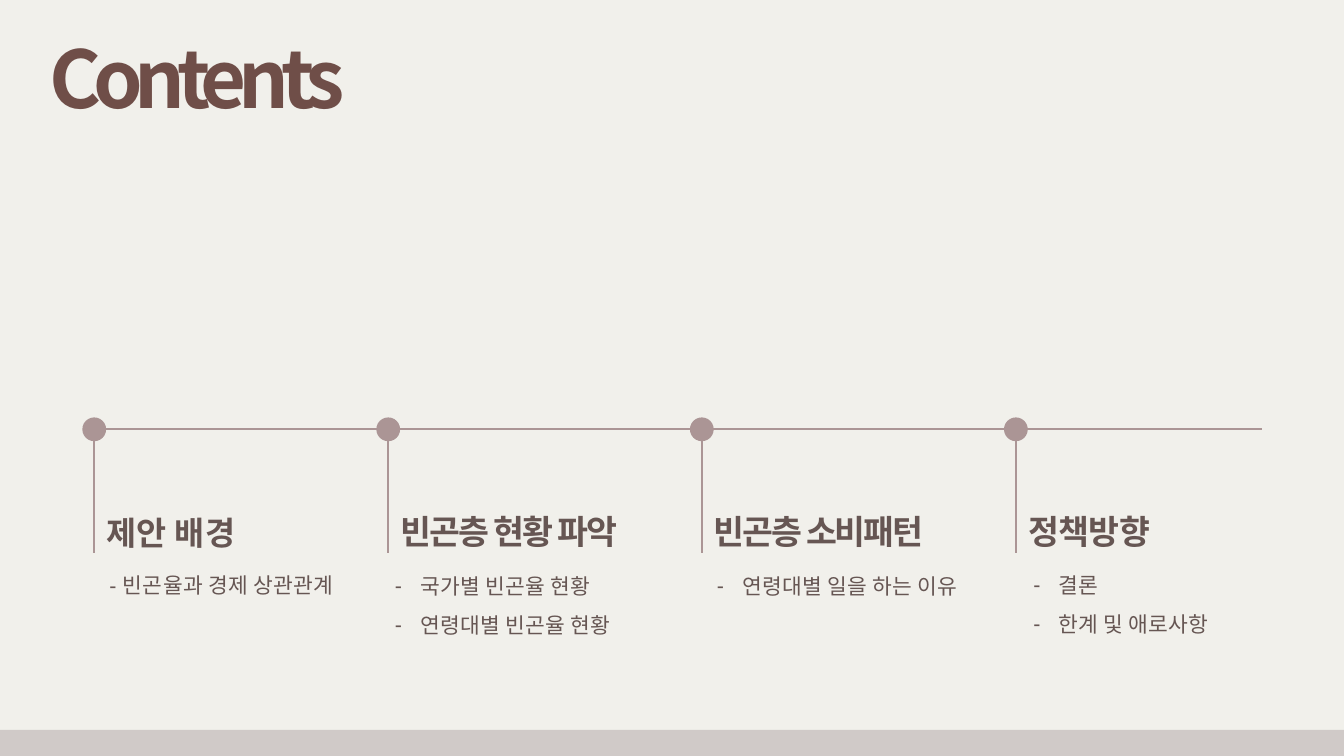
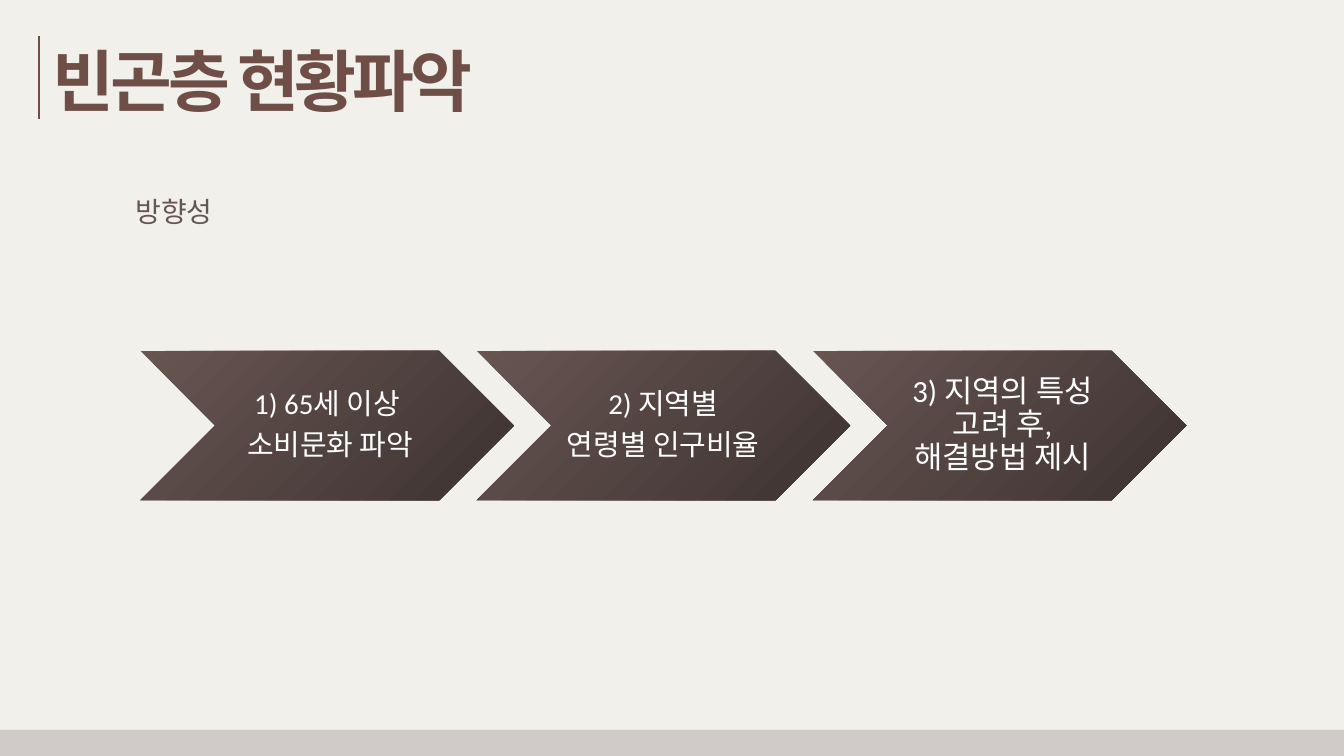
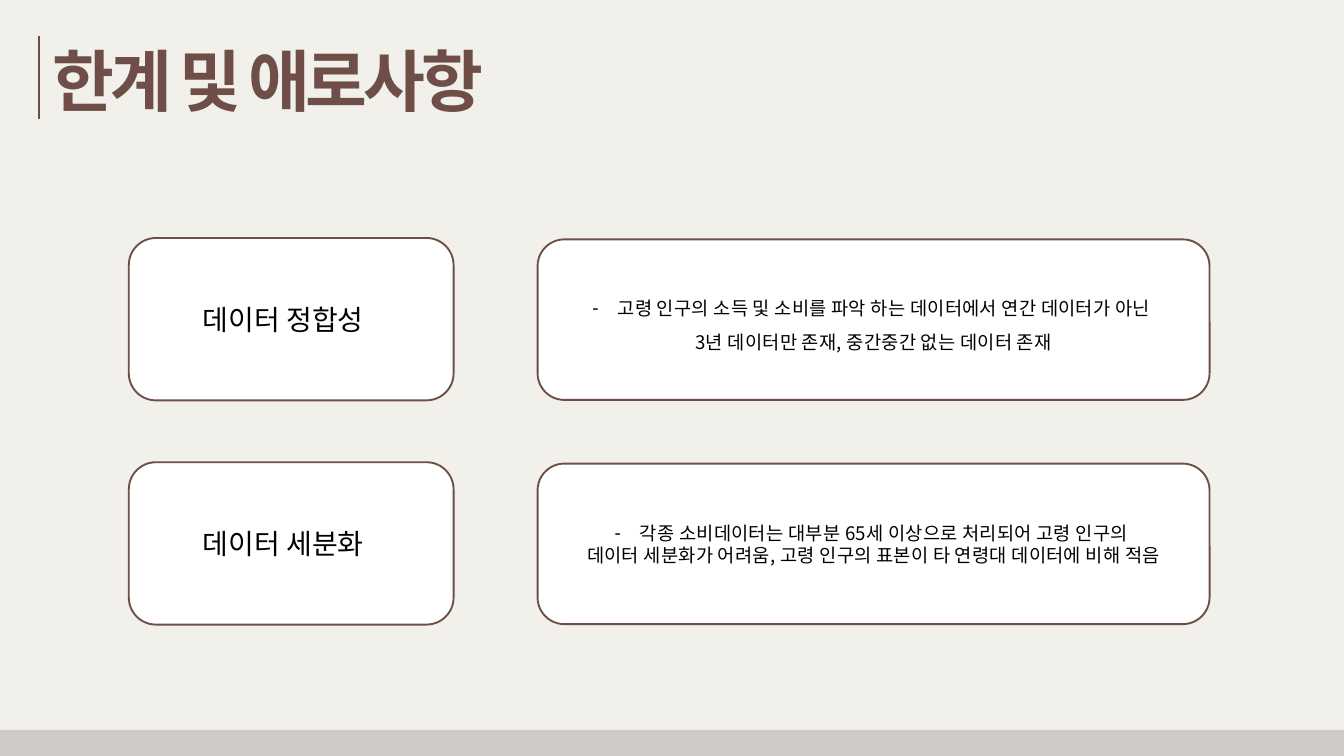
from dataclasses import dataclass
from math import cos, pi, sin

from lxml import etree
from pptx import Presentation
from pptx.dml.color import RGBColor
from pptx.enum.shapes import MSO_CONNECTOR, MSO_SHAPE
from pptx.enum.text import MSO_ANCHOR, PP_ALIGN
from pptx.oxml.ns import qn
from pptx.util import Pt

STRAIGHT = MSO_CONNECTOR.STRAIGHT
RECT, CHEVRON = MSO_SHAPE.RECTANGLE, MSO_SHAPE.CHEVRON
ROUNDED = MSO_SHAPE.ROUNDED_RECTANGLE
TOP, MIDDLE = MSO_ANCHOR.TOP, MSO_ANCHOR.MIDDLE
LEFT, CENTER = PP_ALIGN.LEFT, PP_ALIGN.CENTER


@dataclass(frozen=True)
class Theme:
    paper: str = "F1F0EB"
    band: str = "D0CAC8"
    accent: str = "6F4E48"
    timeline: str = "AB9595"
    body: str = "665653"
    step_light: str = "675552"
    step_dark: str = "3D3230"
    white: str = "FFFFFF"
    black: str = "000000"
    sans: str = "Arial"
    humanist: str = "Calibri"
    korean: str = "Noto Sans CJK KR"
    cover_size: float = 85
    title_size: float = 72
    item_size: float = 23
    label_size: float = 30
    detail_size: float = 20


THEME = Theme()
SLIDE_W, SLIDE_H, BAND_H = 1440, 810, 28
ZERO_INSETS = (1, 1, 0, 0)
BOX_INSETS = (7.2, 3.6, 7.2, 3.6)

# Content
CONTENTS_TITLE = "Contents"
# node x, heading, (size, spacing, y), list x, list y, bulleted, items
CHAPTERS = [
    (101, "제안 배경", (35, 0.3, 548.5), 110, 609, False, ["- 빈곤율과 경제 상관관계"]),
    (416, "빈곤층 현황 파악", (36, -2, 546), 416, 597, True,
     ["국가별 빈곤율 현황", "연령대별 빈곤율 현황"]),
    (752, "빈곤층 소비패턴", (36, -2.2, 546), 761, 597, True,
     ["연령대별 일을 하는 이유"]),
    (1088.5, "정책방향", (36, -0.5, 546), 1100, 596, True,
     ["결론", "한계 및 애로사항"]),
]
STATUS_TITLE = "빈곤층 현황파악"
DIRECTION = "방향성"
STEPS = [
    (31, ["1) 65세 이상 ", "소비문화 파악"]),
    (31, ["2) 지역별 ", "연령별 인구비율 "]),
    (33, ["3) 지역의 특성 고려 후, 해결방법 제시"]),
]
LIMITS_TITLE = "한계 및 애로사항"
LIMITS = [  # label, line spacing, detail lines
    ("데이터 정합성", 1.5,
     ["고령 인구의 소득 및 소비를 파악 하는 데이터에서 연간 데이터가 아닌 ",
      "3년 데이터만 존재, 중간중간 없는 데이터 존재"]),
    ("데이터 세분화", 1.0,
     ["각종 소비데이터는 대부분 65세 이상으로 처리되어 고령 인구의 ",
      "데이터 세분화가 어려움, 고령 인구의 표본이 타 연령대 데이터에 비해 적음"]),
]


# Drawing helpers
def rgb(value):
    return RGBColor.from_string(value)


def set_all(target, values):
    for name, value in values.items():
        setattr(target, name, value)


def write(part, lines, size, color, font=THEME.sans, bold=False, spacing=0,
          align=LEFT, anchor=TOP, insets=BOX_INSETS, bullets=0, **paragraph_format):
    """Fill a shape with paragraphs; the first `bullets` of them get a dash."""
    frame = part.text_frame
    sides = ("margin_left", "margin_top", "margin_right", "margin_bottom")
    set_all(frame, dict(zip(sides, map(Pt, insets)),
                        word_wrap=True, vertical_anchor=anchor))
    for number, line in enumerate(lines):
        paragraph = frame.paragraphs[0] if number == 0 else frame.add_paragraph()
        set_all(paragraph, {"alignment": align, **paragraph_format})
        if number < bullets:
            properties = paragraph._p.get_or_add_pPr()
            properties.set("marL", str(Pt(27)))
            properties.set("indent", str(-Pt(27)))
            etree.SubElement(properties, qn("a:buFont")).set("typeface", THEME.sans)
            etree.SubElement(properties, qn("a:buChar")).set("char", "-")
        run = paragraph.add_run()
        run.text = line
        set_all(run.font, {"name": font, "size": Pt(size), "bold": bold})
        run.font.color.rgb = rgb(color)
        run_properties = run._r.get_or_add_rPr()
        etree.SubElement(run_properties, qn("a:ea")).set("typeface", THEME.korean)
        if spacing:
            run_properties.set("spc", str(round(spacing * 100)))


def add_text(slide, box, lines, size, color, **style):
    write(slide.shapes.add_textbox(*map(Pt, box)), lines, size, color, **style)


def paint(block, fill, outline=None):
    block.shadow.inherit = False
    if isinstance(fill, tuple):
        block.fill.gradient()
        block.fill.gradient_angle = 315
        for stop, color in zip(block.fill.gradient_stops, fill):
            stop.color.rgb = rgb(color)
    else:
        block.fill.solid()
        block.fill.fore_color.rgb = rgb(fill)
    if outline:
        block.line.color.rgb = rgb(outline)
        block.line.width = Pt(2)
    else:
        block.line.fill.background()


def add_block(slide, kind, box, fill, outline=None):
    block = slide.shapes.add_shape(kind, *map(Pt, box))
    paint(block, fill, outline)
    return block


def add_nodes(slide, centers, y, radius, color, corners=24):
    """Draw all timeline dots as one outline with a contour for each dot."""
    outline = None
    for x in centers:
        angles = [2 * pi * corner / corners for corner in range(corners)]
        points = [(Pt(x + radius * cos(a)), Pt(y + radius * sin(a))) for a in angles]
        if outline is None:
            outline = slide.shapes.build_freeform(*points[0])
        else:
            outline.move_to(*points[0])
        outline.add_line_segments(points[1:], close=True)
    paint(outline.convert_to_shape(), color)


def add_rule(slide, start, end, color):
    rule = slide.shapes.add_connector(STRAIGHT, *map(Pt, start + end))
    rule.line.color.rgb = rgb(color)
    rule.line.width = Pt(2.25)
    etree.SubElement(rule._element.spPr, qn("a:effectLst"))


def new_slide(deck):
    slide = deck.slides.add_slide(deck.slide_layouts[6])
    band_y = SLIDE_H - BAND_H
    add_block(slide, RECT, (0, 0, SLIDE_W, band_y), THEME.paper)
    add_block(slide, RECT, (0, band_y, SLIDE_W, BAND_H), THEME.band)
    return slide


def add_title(slide, title, box, size, **style):
    add_text(slide, box, [title], size, THEME.accent, bold=True,
             insets=ZERO_INSETS, space_before=Pt(1), **style)


def new_section(deck, title):
    slide = new_slide(deck)
    add_title(slide, title, (55.5, 41.5, 562, 88.5), THEME.title_size, spacing=-4.4)
    add_rule(slide, (41.5, 39), (41.5, 127.5), THEME.accent)
    return slide


# Slides
def build_contents(deck):
    slide = new_slide(deck)
    add_title(slide, CONTENTS_TITLE, (52, 30.5, 428, 105), THEME.cover_size,
              font=THEME.korean, spacing=-8.8)
    axis_y, axis_end, drop_end, radius = 460, 1352, 592.5, 12.75
    nodes = [chapter[0] for chapter in CHAPTERS]
    add_rule(slide, (nodes[0], axis_y), (axis_end, axis_y), THEME.timeline)
    add_nodes(slide, nodes, axis_y, radius, THEME.timeline)
    for node_x, heading, heading_style, list_x, list_y, bulleted, items in CHAPTERS:
        size, spacing, heading_y = heading_style
        add_rule(slide, (node_x, axis_y), (node_x, drop_end), THEME.timeline)
        add_text(slide, (node_x + 12, heading_y, 303, 44.5), [heading], size, THEME.body,
                 bold=True, spacing=spacing, insets=ZERO_INSETS, space_before=Pt(1))
        add_text(slide, (list_x, list_y, 316, 90 if bulleted else 35), items,
                 THEME.item_size, THEME.body, spacing=0.3,
                 bullets=len(items) if bulleted else 0,
                 line_spacing=1.5 if bulleted else 1.0)


def build_status(deck):
    slide = new_section(deck, STATUS_TITLE)
    add_text(slide, (138, 204.5, 126, 44), [DIRECTION], THEME.label_size, THEME.body,
             font=THEME.humanist)
    step_x, step_y, step_w, step_h, pitch = 150.5, 376, 400, 160, 360.25
    for number, (size, lines) in enumerate(STEPS):
        x = step_x + number * pitch
        add_block(slide, CHEVRON, (x, step_y, step_w, step_h),
                  (THEME.step_light, THEME.step_dark))
        add_text(slide, (x + step_h / 2, step_y, step_w - step_h, step_h), lines, size,
                 THEME.white, font=THEME.humanist, align=CENTER, anchor=MIDDLE,
                 insets=(10, 3.6, 3.6, 3.6), line_spacing=0.9, space_after=Pt(10))


def build_limits(deck):
    slide = new_section(deck, LIMITS_TITLE)
    first_y, pitch = 255, 240.25
    shared = {"font": THEME.korean, "align": CENTER, "anchor": MIDDLE}
    for number, (label, line_spacing, details) in enumerate(LIMITS):
        y = first_y + number * pitch
        label_box = add_block(slide, ROUNDED, (138, y, 348, 174), THEME.white, THEME.accent)
        write(label_box, [label], THEME.label_size, THEME.black,
              insets=(7.2, 3.6, 24, 3.6), **shared)
        detail_box = add_block(slide, ROUNDED, (576, y + 1.5, 720, 172),
                               THEME.white, THEME.accent)
        write(detail_box, details, THEME.detail_size, THEME.black, bullets=1,
              spacing=0.25, line_spacing=line_spacing, **shared)


def main():
    deck = Presentation()
    set_all(deck, {"slide_width": Pt(SLIDE_W), "slide_height": Pt(SLIDE_H)})
    for build in (build_contents, build_status, build_limits):
        build(deck)
    deck.save("out.pptx")


if __name__ == "__main__":
    main()
